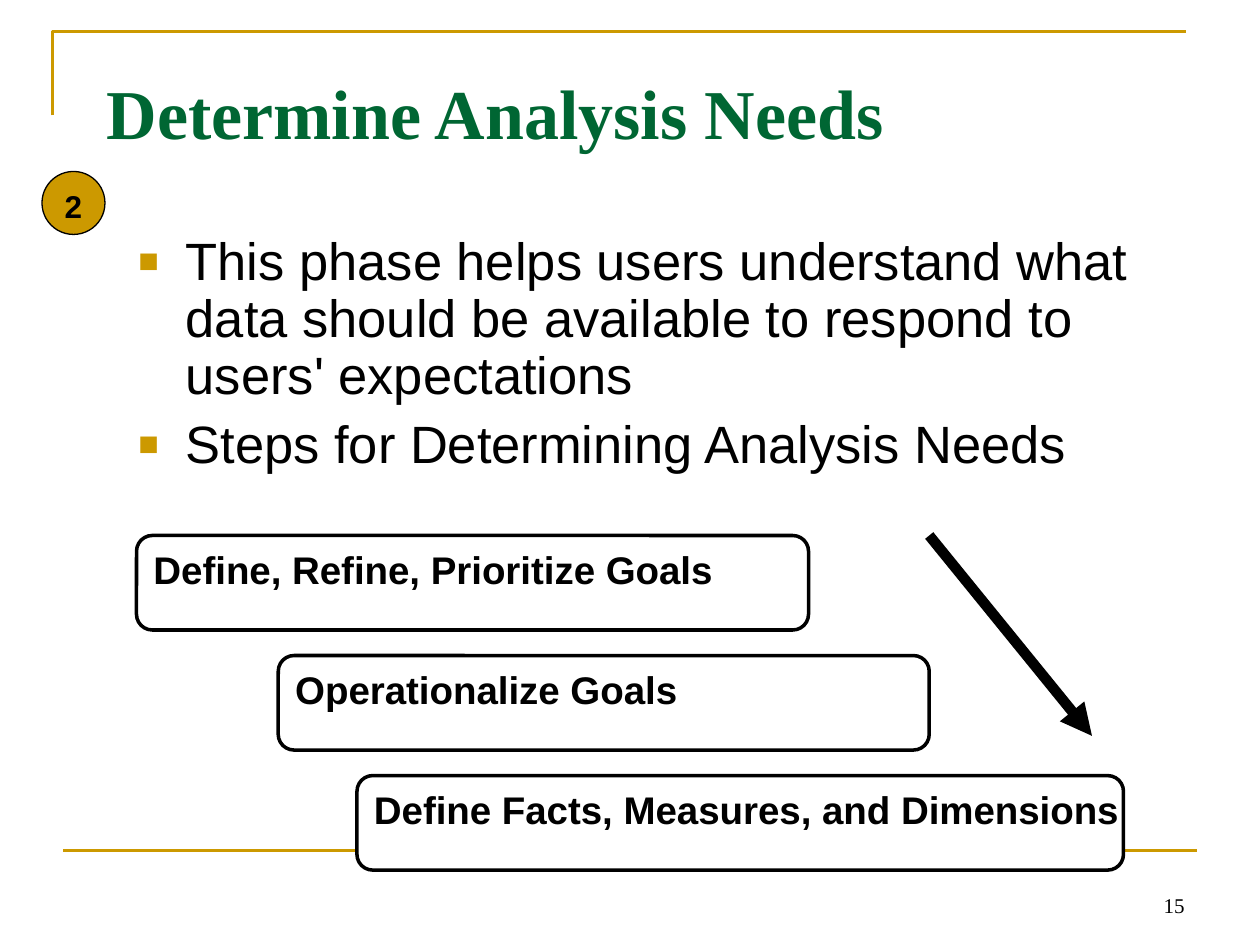
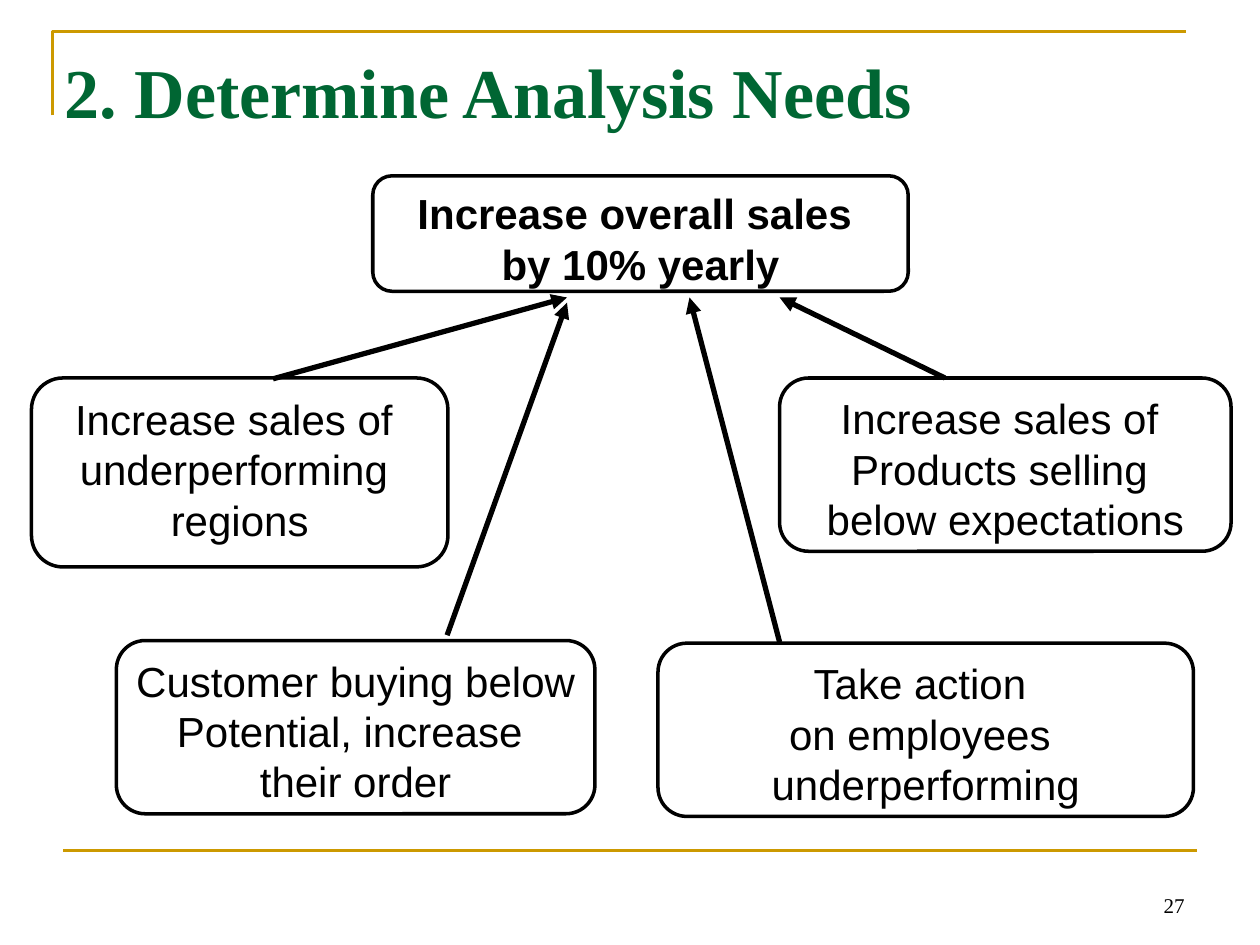
from lxml import etree
from pptx import Presentation
from pptx import util as u
from pptx.dml.color import RGBColor
from pptx.enum import shapes, text
from pptx.oxml import ns

# Content
ANALYSIS_PHASE = {
    "title": "Determine Analysis Needs", "title_at": (54, 36, 654, 90), "number": "15",
    "phase": "2",
    "points": [
        "This phase helps users understand what data should be available "
        "to respond to users' expectations",
        "Steps for Determining Analysis Needs",
    ],
    # step, left, width
    "steps": [
        ("Define, Refine, Prioritize Goals", 78, 384),
        ("Operationalize Goals", 159, 372),
        ("Define Facts, Measures, and Dimensions", 204, 438),
    ],
}
GOAL_TREE = {
    "title": "2. Determine Analysis Needs", "title_at": (30, 24, 672, 90), "number": "27",
    "goal": (["Increase overall sales ", "by 10% yearly"], (213, 100.5, 306, 66)),
    # subgoal lines, box, arrow start, arrow end
    "subgoals": [
        (["Increase sales of ", "underperforming ", "regions"],
         (18, 216, 238, 108), (156, 216.5), (324, 170)),
        (["Increase sales of ", "Products selling ", "below expectations"],
         (445.5, 216, 258, 99), (540, 216), (445.5, 170)),
        (["Take action ", "on employees ", "underperforming"],
         (376, 367.5, 306, 99), (445.5, 367), (394, 170)),
        (["Customer buying below", "Potential, increase ", "their order"],
         (66.5, 366, 273.5, 99), (255.5, 363), (324, 173)),
    ],
}

# Shared style
COLORS = {"gold": "CC9900", "green": "006633", "ink": "000000", "paper": "FFFFFF"}
HEADING, BODY = "Times New Roman", "Arial"
STEP_TOP, STEP_HEIGHT, STEP_PITCH = 306, 54, 68.6
LEFT, CENTER, RIGHT = text.PP_ALIGN.LEFT, text.PP_ALIGN.CENTER, text.PP_ALIGN.RIGHT


def color(name):
    return RGBColor.from_string(COLORS[name])


def points(values):
    return [u.Pt(value) for value in values]


def write(holder, lines, size, font=BODY, ink="ink", bold=False, align=LEFT,
          anchor=text.MSO_ANCHOR.TOP, wrap=True, bullet=False):
    frame = holder.text_frame
    frame.word_wrap, frame.vertical_anchor = wrap, anchor
    for i, line in enumerate(lines):
        paragraph = frame.add_paragraph() if i else frame.paragraphs[0]
        paragraph.alignment = align
        run = paragraph.add_run()
        run.text = line
        run.font.name, run.font.size, run.font.bold = font, u.Pt(size), bold
        run.font.color.rgb = color(ink)
        if bullet:
            add_bullet(paragraph)


def add_bullet(paragraph):
    paragraph.line_spacing, paragraph.space_before = 0.9, u.Pt(7.5)
    props = paragraph._p.get_or_add_pPr()
    props.set("marL", str(u.Pt(27)))
    props.set("indent", str(-u.Pt(27)))
    tint = etree.SubElement(props, ns.qn("a:buClr"))
    etree.SubElement(tint, ns.qn("a:srgbClr"), val=COLORS["gold"])
    etree.SubElement(props, ns.qn("a:buSzPct"), val="65000")
    etree.SubElement(props, ns.qn("a:buFont"), typeface=BODY)
    etree.SubElement(props, ns.qn("a:buChar"), char="■")


def add_text(slide, box, lines, size, **style):
    write(slide.shapes.add_textbox(*points(box)), lines, size, **style)


def add_box(slide, box, lines, size, kind=shapes.MSO_SHAPE.ROUNDED_RECTANGLE,
            fill="paper", weight=2, **style):
    outline = slide.shapes.add_shape(kind, *points(box))
    outline.shadow.inherit = False
    outline.fill.solid()
    outline.fill.fore_color.rgb = color(fill)
    outline.line.color.rgb = color("ink")
    outline.line.width = u.Pt(weight)
    write(outline, lines, size, wrap=False, **style)


def add_line(slide, start, end, weight, ink="ink", arrow=True):
    line = slide.shapes.add_connector(shapes.MSO_CONNECTOR.STRAIGHT, *points(start + end))
    line.line.color.rgb = color(ink)
    line.line.width = u.Pt(weight)
    if arrow:
        etree.SubElement(line.line._get_or_add_ln(), ns.qn("a:tailEnd"), type="triangle")
    etree.SubElement(line._element.spPr, ns.qn("a:effectLst"))


def add_base(deck, content):
    """Blank slide with corner frame, footer rule, title and page number."""
    slide = deck.slides.add_slide(deck.slide_layouts[6])
    builder = slide.shapes.build_freeform(*points((30, 66)))
    builder.add_line_segments([points((30, 18)), points((678, 18))], close=False)
    corner = builder.convert_to_shape()
    corner.shadow.inherit = False
    corner.fill.background()
    corner.line.color.rgb = color("gold")
    corner.line.width = u.Pt(1.5)
    add_line(slide, (36, 486), (684, 486), 1.5, ink="gold", arrow=False)
    add_text(slide, content["title_at"], [content["title"]], 40,
             font=HEADING, ink="green", bold=True)
    add_text(slide, (516, 492, 168, 36), [content["number"]], 12,
             font=HEADING, align=RIGHT, anchor=text.MSO_ANCHOR.BOTTOM)
    return slide


def add_analysis_phase(deck, content):
    slide = add_base(deck, content)
    add_text(slide, (72, 131, 588, 354), content["points"], 30, bullet=True)
    # Staircase of steps
    for i, (step, left, width) in enumerate(content["steps"]):
        add_box(slide, (left, STEP_TOP + i * STEP_PITCH, width, STEP_HEIGHT),
                [step], 22, bold=True)
    add_line(slide, (531, STEP_TOP), (624, 420.5), 6)
    # Phase badge
    add_box(slide, (24, 98, 36, 36), [content["phase"]], 18, kind=shapes.MSO_SHAPE.OVAL,
            fill="gold", weight=0.75, bold=True, align=CENTER)


def add_goal_tree(deck, content):
    slide = add_base(deck, content)
    lines, box = content["goal"]
    add_box(slide, box, lines, 24, bold=True, align=CENTER)
    for lines, box, start, end in content["subgoals"]:
        add_box(slide, box, lines, 24, align=CENTER)
        add_line(slide, start, end, 3)


def main():
    deck = Presentation()
    deck.slide_width, deck.slide_height = points((720, 540))
    add_analysis_phase(deck, ANALYSIS_PHASE)
    add_goal_tree(deck, GOAL_TREE)
    deck.save("out.pptx")


if __name__ == "__main__":
    main()
